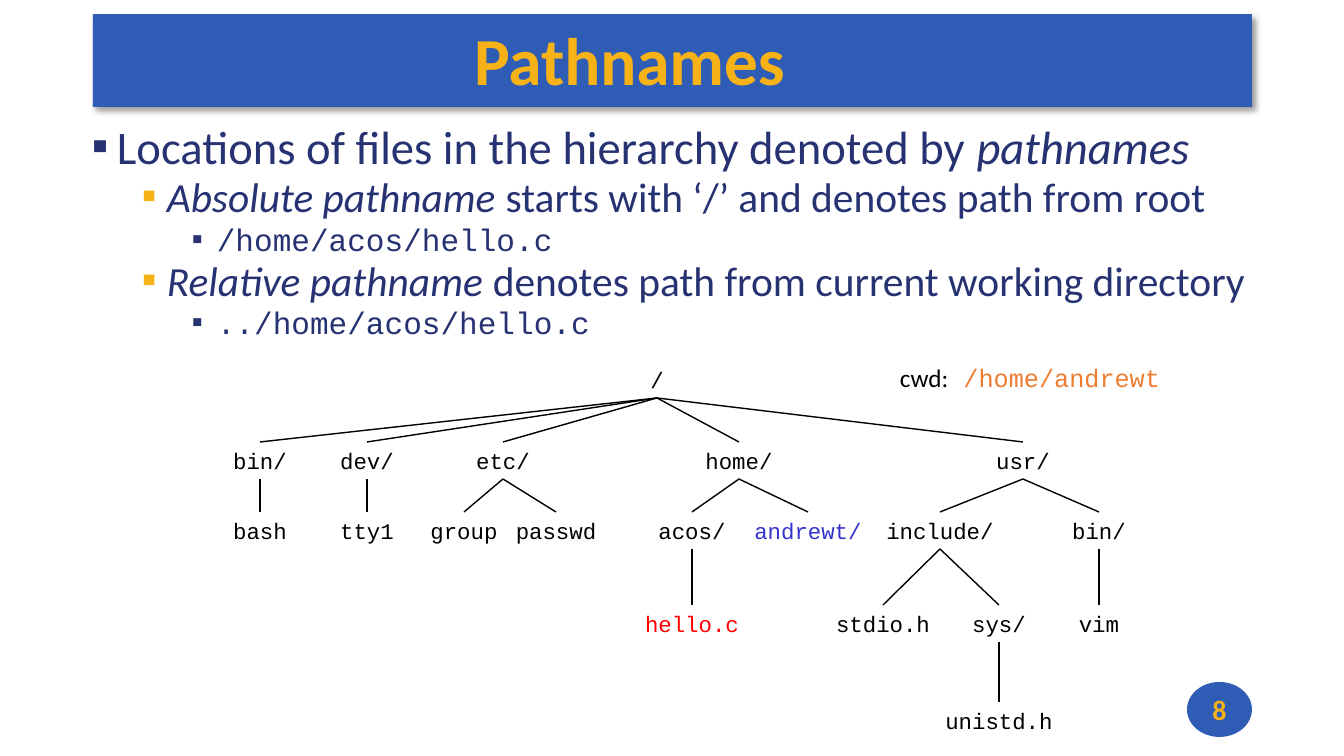
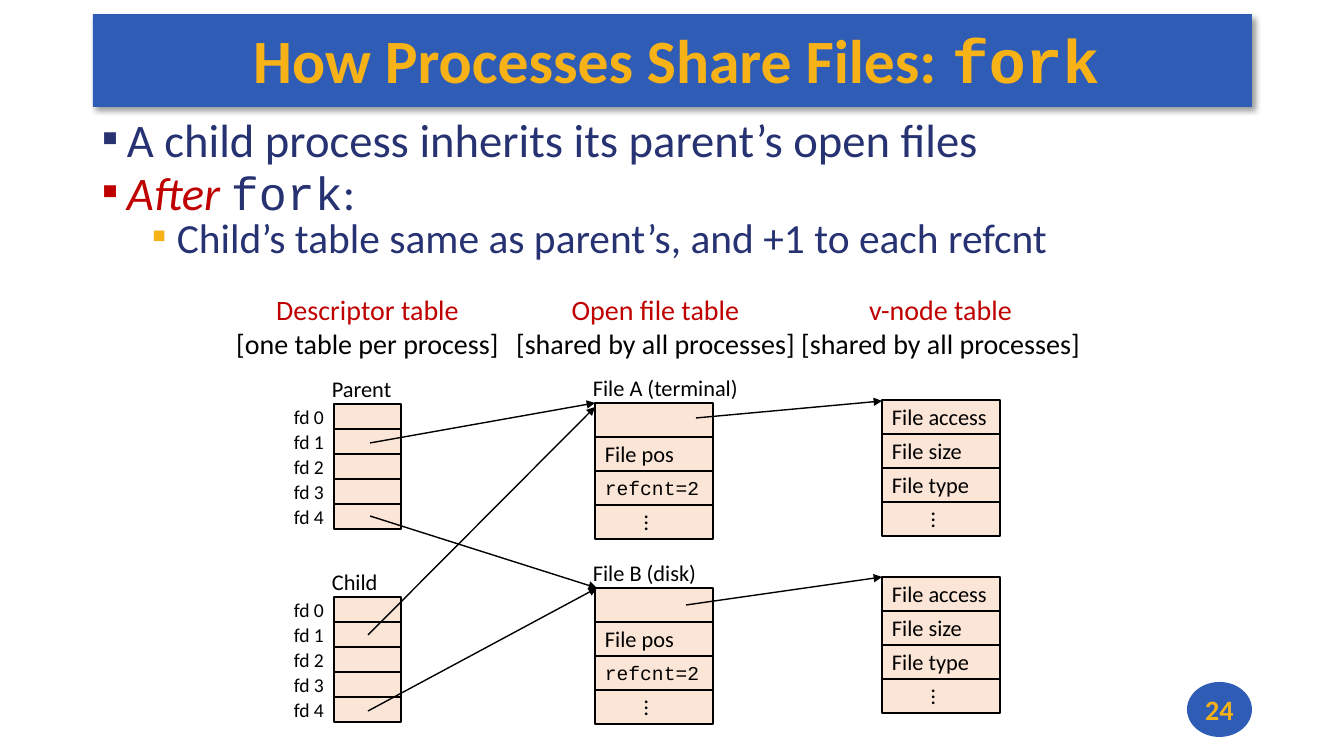
from dataclasses import dataclass

from lxml.etree import SubElement
from pptx import Presentation
from pptx.dml.color import RGBColor
from pptx.enum.shapes import MSO_CONNECTOR, MSO_SHAPE
from pptx.enum.text import MSO_ANCHOR, PP_ALIGN
from pptx.oxml.ns import qn
from pptx.util import Emu, Pt

SCALE = 914400 / 100.8  # EMU in one px


@dataclass(frozen=True)
class Theme:
    blue: str = "2F5CB5"
    gold: str = "F7B217"
    navy: str = "273272"
    black: str = "000000"
    peach: str = "FBE5D6"
    crimson: str = "C00000"
    red: str = "FF0000"
    indigo: str = "3333CC"
    orange: str = "ED7D31"
    sans: str = "Calibri"
    mono: str = "Courier New"
    bullet_sizes: tuple = (33.3, 29.6, 22.2)
    heading: float = 20
    cwd: float = 18
    label: float = 16
    small: float = 14


theme = Theme()
LABEL = {"name": theme.sans, "size": theme.label, "color": theme.black}
SMALL = {**LABEL, "size": theme.small}
TITLE = {"name": theme.sans, "color": theme.gold, "bold": True}
MONO = {"name": theme.mono}
ITALIC = {"italic": True}


def put(slide, box, paragraphs=(), preset=None, fill=None, outline=None,
        align=PP_ALIGN.LEFT, anchor=MSO_ANCHOR.TOP, wrap=False):
    """Add a text box, or a preset shape, whose paragraphs are lists of (text, style) runs."""
    place = [Emu(round(n * SCALE)) for n in box]
    if preset is None:
        shape = slide.shapes.add_textbox(*place)
    else:
        shape = slide.shapes.add_shape(preset, *place)
        shape.shadow.inherit = False
        shape.fill.solid()
        shape.fill.fore_color.rgb = RGBColor.from_string(fill)
        if outline:
            shape.line.color.rgb = RGBColor.from_string(outline)
            shape.line.width = Pt(1)
        else:
            shape.line.fill.background()
    frame = shape.text_frame
    frame.word_wrap = wrap
    frame.vertical_anchor = anchor
    for index, runs in enumerate(paragraphs):
        paragraph = frame.add_paragraph() if index else frame.paragraphs[0]
        paragraph.alignment = align
        for text, style in runs:
            run = paragraph.add_run()
            run.text = text
            for key, value in style.items():
                if key == "color":
                    run.font.color.rgb = RGBColor.from_string(value)
                else:
                    setattr(run.font, key, Pt(value) if key == "size" else value)
    return shape


def link(slide, start, end, arrow=False):
    """Draw a thin black straight line between two points in px."""
    ends = [Emu(round(n * SCALE)) for n in (*start, *end)]
    connector = slide.shapes.add_connector(MSO_CONNECTOR.STRAIGHT, *ends)
    connector.line.color.rgb = RGBColor.from_string(theme.black)
    connector.line.width = Pt(1)
    if arrow:
        SubElement(connector.line._get_or_add_ln(), qn("a:tailEnd"), type="triangle")
    SubElement(connector._element.spPr, qn("a:effectLst"))
    return connector


presentation = Presentation()
presentation.slide_width = Emu(round(1344 * SCALE))
presentation.slide_height = Emu(round(756 * SCALE))

# Title, right inset of the title, page number, body box, line spacing, bullets
outlines = [
    {
        "title": [("Pathnames", {"size": 48})], "title_inset": 94, "page": "8",
        "body": (82, 124, 1208, 241), "spacing": 0.8,
        "bullets": [
            (0, [("Locations of files in the hierarchy denoted by ", {}), ("pathnames", ITALIC)]),
            (1, [("Absolute pathname ", ITALIC),
                 ("starts with ‘/’ and denotes path from root", {})]),
            (2, [("/home/acos/hello.c", MONO)]),
            (1, [("Relative pathname ", ITALIC),
                 ("denotes path from current working directory", {})]),
            (2, [("../home/acos/hello.c", MONO)]),
        ],
    },
    {
        "title": [("How Processes Share Files: ", {"size": 44}), ("fork", {"size": 44, **MONO})],
        "title_inset": 0, "page": "24",
        "body": (92, 121, 1161, 152), "spacing": 0.7,
        "bullets": [
            (0, [("A child process inherits its parent’s open files", {})]),
            (0, [("After ", {**ITALIC, "color": theme.crimson}), ("fork", MONO), (":", {})]),
            (1, [("Child’s table same as parent’s, and +1 to each refcnt", {})]),
        ],
    },
]

slides = []
for content in outlines:
    slide = presentation.slides.add_slide(presentation.slide_layouts[6])
    slides.append(slide)

    band = put(slide, (93, 14, 1159, 93), preset=MSO_SHAPE.RECTANGLE, fill=theme.blue)
    shadow = SubElement(band._element.spPr.find(qn("a:effectLst")), qn("a:outerShdw"),
                        blurRad=str(Pt(4)), dist=str(Pt(3)), dir="2700000", algn="tl")
    shadow_color = SubElement(shadow, qn("a:srgbClr"), val=theme.black)
    SubElement(shadow_color, qn("a:alpha"), val="40000")

    title = put(slide, (93, 12, 1159, 93),
                [[(text, {**TITLE, **style}) for text, style in content["title"]]],
                align=PP_ALIGN.CENTER, anchor=MSO_ANCHOR.MIDDLE, wrap=True)
    insets = {"left": 8, "top": 3, "right": content["title_inset"], "bottom": 3}
    for side, inset in insets.items():
        setattr(title.text_frame, f"margin_{side}", Emu(round(inset * SCALE)))

    put(slide, (1187, 682, 65, 55), [[(content["page"], {**TITLE, "size": theme.heading})]],
        preset=MSO_SHAPE.OVAL, fill=theme.blue,
        align=PP_ALIGN.CENTER, anchor=MSO_ANCHOR.MIDDLE)

    styled = [
        [(text, {"name": theme.sans, "size": theme.bullet_sizes[level],
                 "color": theme.navy, **style}) for text, style in runs]
        for level, runs in content["bullets"]
    ]
    body = put(slide, content["body"], styled, wrap=True)
    for index, (level, runs) in enumerate(content["bullets"]):
        paragraph = body.text_frame.paragraphs[index]
        paragraph.level = level
        paragraph.line_spacing = content["spacing"]
        if index:
            paragraph.space_before = Pt(5 if level else 10)
        properties = paragraph._p.get_or_add_pPr()
        properties.set("marL", str(round((25 + 50 * level) * SCALE)))
        properties.set("indent", str(round(-25 * SCALE)))
        bullet_color = theme.gold if level == 1 else styled[index][0][1]["color"]
        SubElement(SubElement(properties, qn("a:buClr")), qn("a:srgbClr"), val=bullet_color)
        SubElement(properties, qn("a:buFont"), typeface=theme.sans)
        SubElement(properties, qn("a:buChar"), char="▪")

pathnames_slide, fork_slide = slides

# Directory tree: each pathname with the centre of its label
level_tops = (361, 442, 512, 605, 702)
label_colors = {"andrewt/": theme.indigo, "hello.c": theme.red}
tree = [
    ("/", 657),
    ("/bin/", 260), ("/dev/", 367), ("/etc/", 503), ("/home/", 739), ("/usr/", 1023),
    ("/bin/bash", 260), ("/dev/tty1", 367), ("/etc/group", 464), ("/etc/passwd", 556),
    ("/home/acos/", 692), ("/home/andrewt/", 808),
    ("/usr/include/", 940), ("/usr/bin/", 1099),
    ("/home/acos/hello.c", 692), ("/usr/include/stdio.h", 883),
    ("/usr/include/sys/", 999), ("/usr/bin/vim", 1099),
    ("/usr/include/sys/unistd.h", 999),
]
entries = {}
for pathname, center in tree:
    stem = pathname.rstrip("/")
    parent = stem.rpartition("/")[0] + "/"
    name = pathname[len(parent):] or pathname
    top = level_tops[stem.count("/")]
    width = 30 + 14 * len(name)  # insets, and a little more than each character needs
    style = {**LABEL, **MONO, "color": label_colors.get(name, theme.black)}
    entry = put(pathnames_slide, (center - width // 2, top, width, 37), [[(name, style)]],
                align=PP_ALIGN.CENTER)
    if parent in entries:
        branch = link(pathnames_slide, (center, top), (center, top))
        branch.begin_connect(entries[parent], 2)
        branch.end_connect(entry, 0)
    entries[pathname] = entry

CWD = {**LABEL, "size": theme.cwd}
put(pathnames_slide, (890, 357, 300, 40),
    [[("cwd:", CWD), (" /home/andrewt", {**CWD, **MONO, "color": theme.orange})]])

# Kernel tables
HEADING = {**LABEL, "size": theme.heading}
headings = [
    (225, 285, "Descriptor table", "[one table per process]"),
    (505, 301, "Open file table", "[shared by all processes]"),
    (790, 301, "v-node table", "[shared by all processes]"),
]
for left, width, heading, scope in headings:
    put(fork_slide, (left, 287, width, 78),
        [[(heading, {**HEADING, "color": theme.crimson})], [(scope, HEADING)]],
        align=PP_ALIGN.CENTER, anchor=MSO_ANCHOR.MIDDLE)

descriptors = [""] * 5
open_file = ["", "File pos", "refcnt=2", "..."]
v_node = ["File access", "File size", "File type", "..."]
tables = [
    ("Parent", 334, 404, 67, 25, descriptors),
    ("Child", 334, 597, 67, 25, descriptors),
    ("File A (terminal)", 595, 403, 118, 34, open_file),
    ("File B (disk)", 595, 588, 118, 34, open_file),
    ("", 882, 400, 118, 34, v_node),
    ("", 882, 577, 118, 34, v_node),
]
for caption, left, top, width, row_height, fields in tables:
    if caption:
        put(fork_slide, (left - 12, top - 34, 170, 37), [[(caption, LABEL)]],
            anchor=MSO_ANCHOR.MIDDLE)
    for row, field in enumerate(fields):
        row_top = top + row * row_height
        style = {**SMALL, **MONO} if field == "refcnt=2" else LABEL
        cell = put(fork_slide, (left, row_top, width, row_height),
                   [[(field, style)]] if field else (), preset=MSO_SHAPE.RECTANGLE,
                   fill=theme.peach, outline=theme.black, anchor=MSO_ANCHOR.MIDDLE)
        if field == "...":
            cell.text_frame._txBody.bodyPr.set("vert", "eaVert")
        if fields is descriptors:
            put(fork_slide, (left - 67, row_top, 67, row_height), [[(f"fd {row}", SMALL)]],
                align=PP_ALIGN.RIGHT, anchor=MSO_ANCHOR.MIDDLE)

pointers = [
    ((370, 443), (595, 403)),
    ((370, 516), (597, 588)),
    ((368, 635), (595, 407)),
    ((368, 711), (597, 588)),
    ((696, 418), (882, 401)),
    ((686, 605), (882, 577)),
]
for start, end in pointers:
    link(fork_slide, start, end, arrow=True)

presentation.save("out.pptx")
